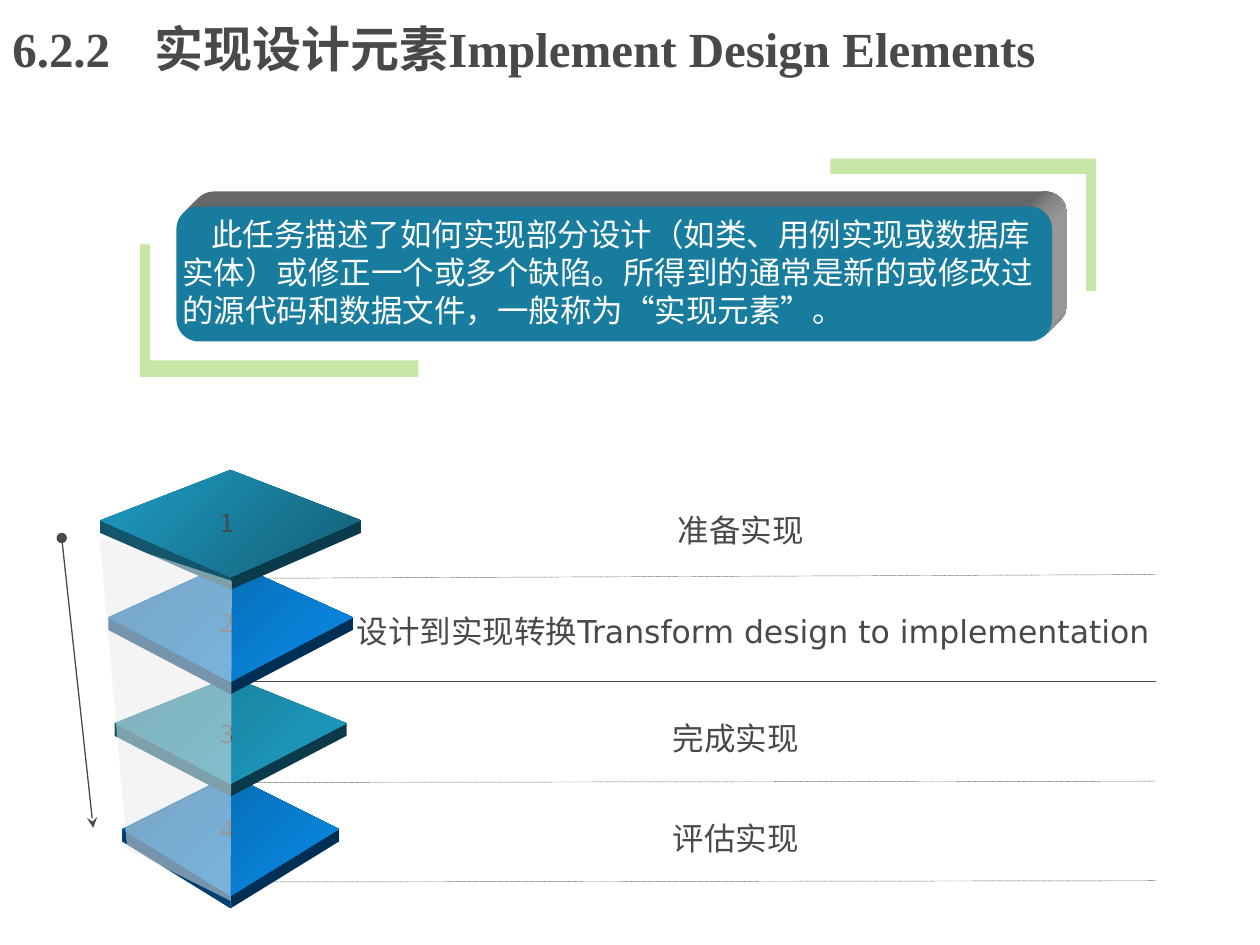
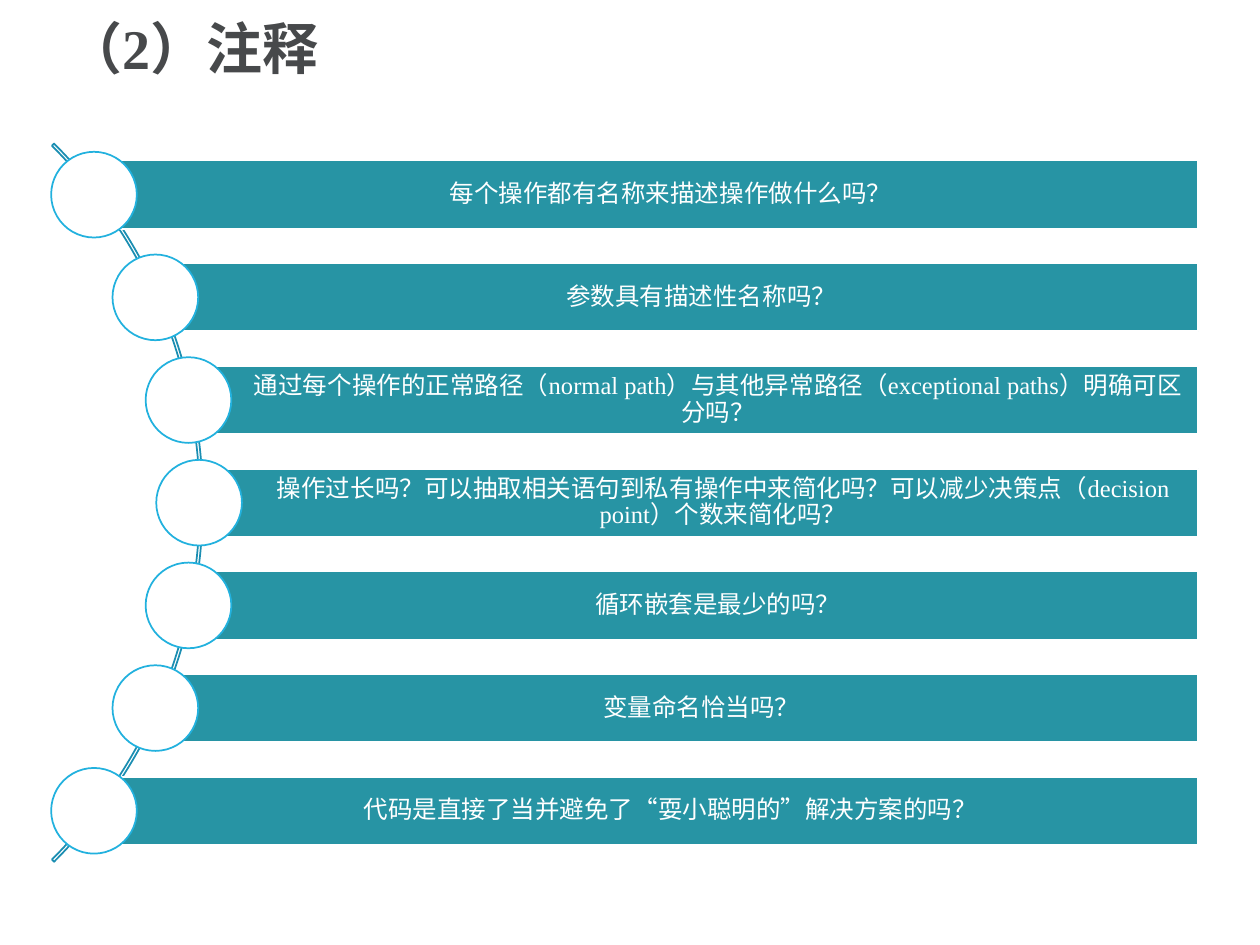
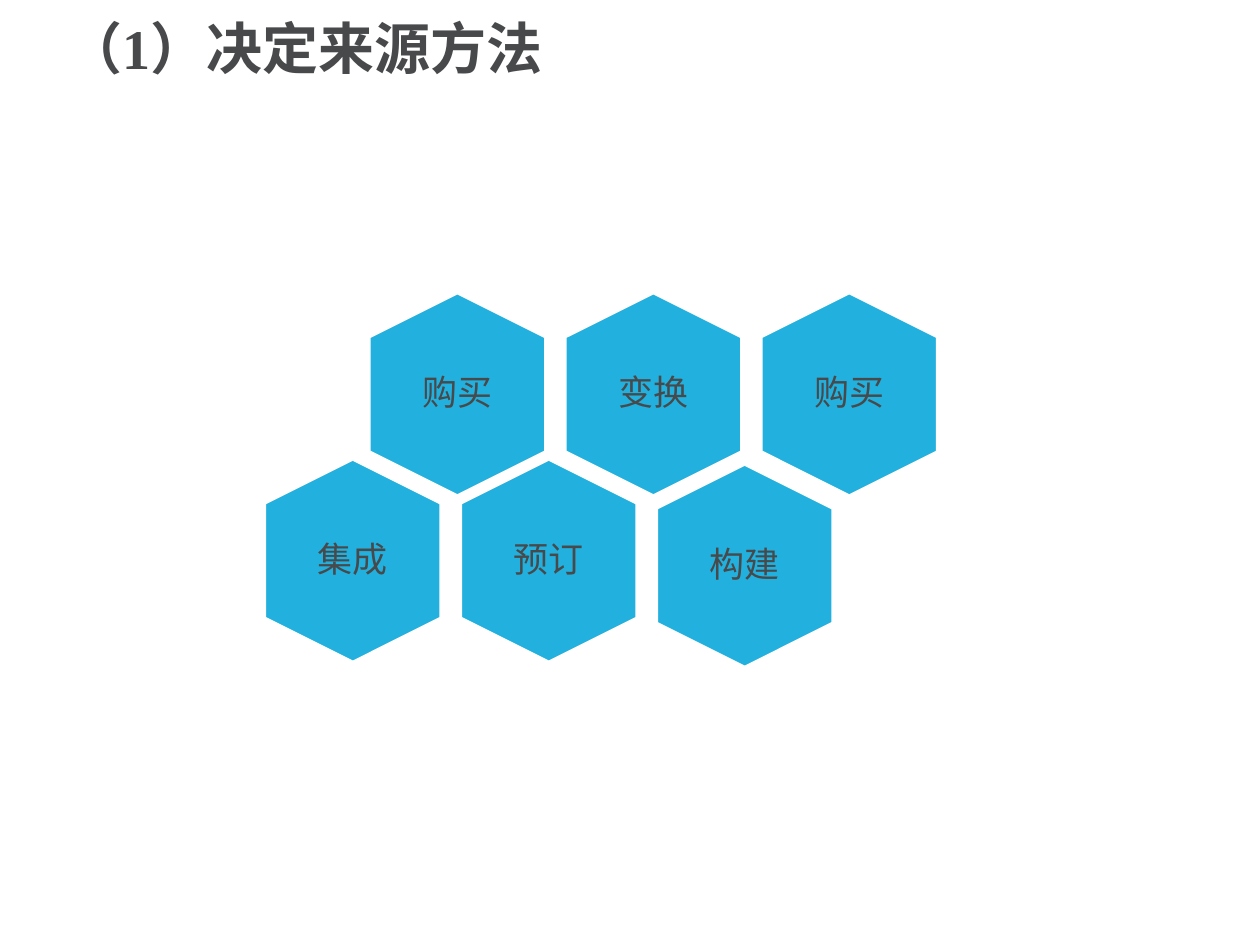
from dataclasses import dataclass
from math import sqrt

from lxml.etree import SubElement
from pptx import Presentation
from pptx.dml.color import RGBColor
from pptx.enum.dml import MSO_LINE
from pptx.enum.shapes import MSO_CONNECTOR, MSO_SHAPE
from pptx.enum.text import MSO_ANCHOR, PP_ALIGN
from pptx.oxml.ns import qn
from pptx.util import Inches, Pt

COLORS = {
    "text": "47494B", "white": "FFFFFF", "accent": "22B1DE", "arc": "1B8EB2",
    "bar": "2794A4", "banner": "187C9E", "edge_dark": "666869",
    "edge_light": "9A9A9A", "bracket": "92D050", "veil": "EAEAEA",
    "teal": "1E9CC4", "teal_dark": "145E75", "teal_mid": "177A8F",
    "teal_left": "13566B", "teal_right": "0B3B4A",
    "blue": "0A8CE6", "blue_dark": "0560A3",
    "blue_left": "03406F", "blue_right": "002F55",
}
SERIF, SANS, CHINESE = "Times New Roman", "DejaVu Sans", "Noto Sans CJK SC"


@dataclass
class Slab:
    """A diamond plate of the stack with its label and separator line."""
    half_width: float
    middle: float
    rise: float
    drop: float
    family: str
    gradient: tuple[str, str]
    number_top: float
    label: str
    label_center: float
    label_top: float
    label_font: str
    line_start: float
    line_end: float


@dataclass
class Hexagon:
    text: str
    column: int
    row: int
    shift: float = 0


# ---------- shared drawing functions ----------
def color(name: str) -> RGBColor:
    return RGBColor.from_string(COLORS[name])


def write(frame, text: str, *, size: float, font: str = SERIF, ink: str = "text",
          bold: bool = False, align=PP_ALIGN.LEFT, anchor=MSO_ANCHOR.TOP,
          spacing: float = 1, margins=(0.1, 0.05, 0.1, 0.05), wrap: bool = True,
          indent: float = 0, tab: float = 0) -> None:
    frame.word_wrap = wrap
    frame.vertical_anchor = anchor
    (frame.margin_left, frame.margin_top,
     frame.margin_right, frame.margin_bottom) = map(Inches, margins)
    paragraph = frame.paragraphs[0]
    paragraph.alignment = align
    paragraph.line_spacing = spacing
    properties = paragraph._p.get_or_add_pPr()
    if indent:
        properties.set("indent", str(Inches(indent)))
    if tab:
        tabs = SubElement(properties, qn("a:tabLst"))
        SubElement(tabs, qn("a:tab"), pos=str(Inches(tab)), algn="l")
    run = paragraph.add_run()
    run.text = text
    run.font.size, run.font.bold, run.font.name = Pt(size), bold, font
    run.font.color.rgb = color(ink)
    SubElement(run._r.get_or_add_rPr(), qn("a:ea"), typeface=CHINESE)


def add_text(slide, text: str, left: float, top: float, width: float,
             height: float, **text_format) -> None:
    box = slide.shapes.add_textbox(*map(Inches, (left, top, width, height)))
    write(box.text_frame, text, **text_format)


def add_title(slide, text: str, left: float = 0.43, size: float = 32,
              tab: float = 0) -> None:
    add_text(slide, text, left, 0.06, 9.5, 0.7, size=size, bold=True,
             anchor=MSO_ANCHOR.MIDDLE, spacing=0.9, tab=tab)


def paint(shape, fill: str | None, line: str | None = None, alpha: int = 100) -> None:
    shape.shadow.inherit = False
    if fill:
        shape.fill.solid()
        shape.fill.fore_color.rgb = color(fill)
        if alpha < 100:
            tone = shape._element.spPr.find(qn("a:solidFill"))[0]
            SubElement(tone, qn("a:alpha"), val=str(alpha * 1000))
    else:
        shape.fill.background()
    if line:
        shape.line.color.rgb = color(line)
        shape.line.width = Pt(1)
    else:
        shape.line.fill.background()


def paint_gradient(shape, first: str, last: str, angle: float, start: float = 0) -> None:
    paint(shape, None)
    shape.fill.gradient()
    shape.fill.gradient_angle = angle
    for stop, name, position in zip(shape.fill.gradient_stops, (first, last), (start, 1)):
        stop.color.rgb = color(name)
        stop.position = position


def add_shape(slide, kind, left: float, top: float, width: float, height: float,
              fill: str | None, line: str | None = None):
    shape = slide.shapes.add_shape(kind, *map(Inches, (left, top, width, height)))
    paint(shape, fill, line)
    return shape


def add_polygon(slide, points: list[tuple[float, float]], fill: str | None,
                alpha: int = 100):
    corners = [(Inches(x), Inches(y)) for x, y in points]
    builder = slide.shapes.build_freeform(*corners[0])
    builder.add_line_segments(corners[1:], close=True)
    shape = builder.convert_to_shape()
    paint(shape, fill, alpha=alpha)
    return shape


def add_line(slide, start: tuple[float, float], end: tuple[float, float], width: float):
    line = slide.shapes.add_connector(
        MSO_CONNECTOR.STRAIGHT, *map(Inches, (*start, *end)))
    line.line.color.rgb = color("text")
    line.line.width = Pt(width)
    SubElement(line._element.spPr, qn("a:effectLst"))
    return line


# ---------- slide 1: stack of implementation steps ----------
SLABS = [
    Slab(1.035, 4.13, 0.4, 0.45, "teal", ("teal", "teal_dark"), 3.98,
         "准备实现", 5.88, 4.01, SANS, 4.59, 4.56),
    Slab(0.97, 4.9, 0.44, 0.51, "blue", ("blue_dark", "blue"), 4.78,
         "设计到实现转换Transform design to implementation", 5.98, 4.81, SANS, 5.41, 5.41),
    Slab(0.92, 5.74, 0.37, 0.48, "teal", ("teal_mid", "teal"), 5.66,
         "完成实现", 5.84, 5.66, SANS, 6.21, 6.2),
    Slab(0.86, 6.58, 0.43, 0.53, "blue", ("blue_dark", "blue"), 6.42,
         "评估实现", 5.84, 6.45, SERIF, 7, 6.99),
]
STACK_CENTER, SLAB_DEPTH = 1.83, 0.1
BANNER_TEXT = ("此任务描述了如何实现部分设计（如类、用例实现或数据库实体）或修正一个或多个缺陷。"
               "所得到的通常是新的或修改过的源代码和数据文件，一般称为“实现元素”。")


def add_banner(slide) -> None:
    add_polygon(slide, [(1.19, 2.86), (1.19, 1.94), (1.11, 1.94), (1.11, 2.99),
                        (3.32, 2.99), (3.32, 2.86)], "bracket", 50)
    add_polygon(slide, [(8.62, 1.38), (8.62, 2.31), (8.7, 2.31), (8.7, 1.26),
                        (6.59, 1.26), (6.59, 1.38)], "bracket", 50)
    # Stepped layers give the block its depth
    for offset in (0.12, 0.1, 0.08, 0.06, 0.04, 0.02, 0):
        layer = add_shape(slide, MSO_SHAPE.ROUNDED_RECTANGLE,
                          1.4 + offset, 1.64 - offset, 6.95, 1.07, "banner")
        if offset:
            paint_gradient(layer, "edge_dark", "edge_light", 0, 0.97)
    add_text(slide, BANNER_TEXT, 1.35, 1.66, 7.03, 1.31, size=18, font=CHINESE,
             ink="white", indent=0.23)


def add_slab(slide, slab: Slab) -> None:
    left, right = STACK_CENTER - slab.half_width, STACK_CENTER + slab.half_width
    bottom = slab.middle + slab.drop
    for side, x in (("left", left), ("right", right)):
        add_polygon(slide, [(x, slab.middle), (STACK_CENTER, bottom),
                            (STACK_CENTER, bottom + SLAB_DEPTH),
                            (x, slab.middle + SLAB_DEPTH)], f"{slab.family}_{side}")
    face = add_polygon(slide, [(left, slab.middle), (STACK_CENTER, slab.middle - slab.rise),
                               (right, slab.middle), (STACK_CENTER, bottom)], None)
    paint_gradient(face, *slab.gradient, 315)


def build_steps(slide) -> None:
    add_title(slide, "6.2.2\t实现设计元素Implement Design Elements", 0, 28, tab=1.13)
    add_banner(slide)
    for slab in SLABS:
        line = add_line(slide, (1.99, slab.line_start), (9.17, slab.line_end), 0.25)
        line.line.dash_style = MSO_LINE.ROUND_DOT
    for slab in reversed(SLABS):
        add_slab(slide, slab)
    for number, slab in enumerate(SLABS, 1):
        add_text(slide, str(number), 1.65, slab.number_top, 0.3, 0.34, size=14,
                 font=CHINESE, align=PP_ALIGN.CENTER, wrap=False)
        add_text(slide, slab.label, slab.label_center - 3.5, slab.label_top, 7, 0.4,
                 size=18, font=slab.label_font, align=PP_ALIGN.CENTER)
    # Veil over the left half, and the direction arrow
    add_polygon(slide, [(0.79, 4.27), (1.01, 6.74), (1.83, 7.15), (1.84, 4.61)],
                "veil", 50)
    arrow = add_line(slide, (0.49, 4.27), (0.74, 6.57), 0.75)
    outline = arrow.line._get_or_add_ln()
    SubElement(outline, qn("a:headEnd"), type="oval")
    SubElement(outline, qn("a:tailEnd"), type="stealth")


# ---------- slide 2: questions along an arc ----------
QUESTIONS = [
    "每个操作都有名称来描述操作做什么吗？",
    "参数具有描述性名称吗？",
    "通过每个操作的正常路径（normal path）与其他异常路径（exceptional paths）明确可区分吗？",
    "操作过长吗？可以抽取相关语句到私有操作中来简化吗？可以减少决策点（decision point）个数来简化吗？",
    "循环嵌套是最少的吗？",
    "变量命名恰当吗？",
    "代码是直接了当并避免了“耍小聪明的”解决方案的吗？",
]
ARC_X, ARC_Y, ARC_RADIUS = -2.42, 3.99, 4.03
BEAD_RADIUS, BEAD_TRACK, ROW_PITCH = 0.34, 4.0, 0.815
BAR_RIGHT, BAR_HEIGHT = 9.51, 0.54


def build_questions(slide) -> None:
    add_title(slide, "（2）注释")
    arc = add_shape(slide, MSO_SHAPE.BLOCK_ARC, ARC_X - ARC_RADIUS, ARC_Y - ARC_RADIUS,
                    2 * ARC_RADIUS, 2 * ARC_RADIUS, None, "arc")
    for index, value in enumerate((189, 27, 0.003)):
        arc.adjustments[index] = value
    for row, question in enumerate(QUESTIONS):
        rise = (row - len(QUESTIONS) // 2) * ROW_PITCH
        x, y = ARC_X + sqrt(BEAD_TRACK ** 2 - rise ** 2), ARC_Y + rise
        bar = add_shape(slide, MSO_SHAPE.RECTANGLE, x, y - BAR_HEIGHT / 2,
                        BAR_RIGHT - x, BAR_HEIGHT, "bar", "white")
        write(bar.text_frame, question, size=14, ink="white", align=PP_ALIGN.CENTER,
              anchor=MSO_ANCHOR.MIDDLE, spacing=0.9, margins=(0.43, 0.04, 0.04, 0.04))
        add_shape(slide, MSO_SHAPE.OVAL, x - BEAD_RADIUS, y - BEAD_RADIUS,
                  2 * BEAD_RADIUS, 2 * BEAD_RADIUS, "white", "accent")


# ---------- slide 3: honeycomb of source methods ----------
HEXAGONS = [
    Hexagon("构建", 2, 1, 0.04), Hexagon("预订", 1, 1), Hexagon("购买", 0, 0),
    Hexagon("变换", 1, 0), Hexagon("购买", 2, 0), Hexagon("集成", 0, 1),
]
HEX_LENGTH, HEX_WIDTH, HEX_PITCH = 1.6, 1.39, 1.555


def build_honeycomb(slide) -> None:
    add_title(slide, "（1）决定来源方法")
    for cell in HEXAGONS:
        x = 3.63 - 0.83 * cell.row + cell.column * HEX_PITCH
        y = 3.13 + 1.32 * cell.row + cell.shift
        hexagon = add_shape(slide, MSO_SHAPE.HEXAGON, x - HEX_LENGTH / 2,
                            y - HEX_WIDTH / 2, HEX_LENGTH, HEX_WIDTH, "accent", "white")
        hexagon.rotation = 90
        add_text(slide, cell.text, x - 0.48, y - 0.55, 0.96, 1.1, size=20,
                 align=PP_ALIGN.CENTER, anchor=MSO_ANCHOR.MIDDLE, spacing=0.9,
                 margins=(0, 0, 0, 0))


def main() -> None:
    presentation = Presentation()
    presentation.slide_width, presentation.slide_height = Inches(10), Inches(7.5)
    for build in (build_steps, build_questions, build_honeycomb):
        build(presentation.slides.add_slide(presentation.slide_layouts[6]))
    presentation.save("out.pptx")


if __name__ == "__main__":
    main()
